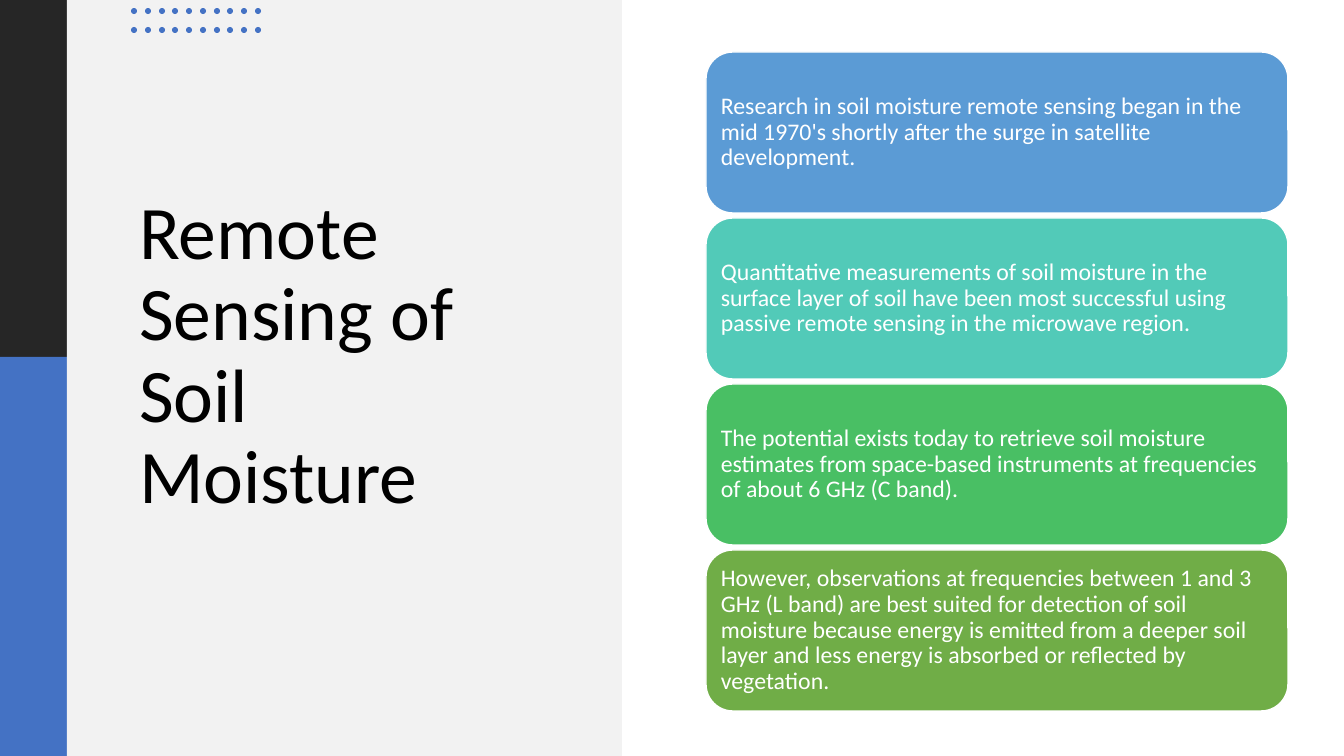
from pptx import Presentation
from pptx import util as u
from pptx.dml.color import RGBColor
from pptx.enum import shapes, text

PX = 914400 / 100.8


def paint(area, kind, left, top, width, height, fill):
    shape = area.add_shape(kind, *[round(n * PX) for n in (left, top, width, height)])
    shape.shadow.inherit = False
    shape.fill.solid()
    shape.fill.fore_color.rgb = RGBColor.from_string(fill)
    shape.line.fill.background()
    return shape


def write(frame, wording, size, color):
    frame.word_wrap = True
    frame.auto_size = text.MSO_AUTO_SIZE.NONE
    frame.vertical_anchor = text.MSO_ANCHOR.MIDDLE
    paragraph = frame.paragraphs[0]
    paragraph.alignment = text.PP_ALIGN.LEFT
    paragraph.line_spacing = 0.9
    run = paragraph.add_run()
    run.text = wording
    run.font.name = "Calibri"
    run.font.size = u.Pt(size)
    run.font.color.rgb = RGBColor.from_string(color)


prs = Presentation()
prs.slide_width = round(1344 * PX)
prs.slide_height = round(756 * PX)
slide = prs.slides.add_slide(prs.slide_layouts[5])
rectangle = shapes.MSO_SHAPE.RECTANGLE

for left, top, width, height, fill in [
    (0, 0, 67, 357, "262626"),
    (0, 357, 67, 399, "4472C4"),
    (67, 0, 555, 756, "F2F2F2"),
]:
    paint(slide.shapes, rectangle, left, top, width, height, fill)

heading = slide.shapes.title
slide.shapes._spTree.append(heading._element)
heading.left, heading.top, heading.width, heading.height = [
    round(n * PX) for n in (129, 132, 410, 450)
]
write(heading.text_frame, "Remote Sensing of Soil Moisture", 54, "000000")

dots = slide.shapes.add_group_shape()
for column in range(10):
    for top in (8, 27):
        paint(dots.shapes, shapes.MSO_SHAPE.OVAL, 131 + round(column * 124 / 9), top, 6, 6, "4472C4")

facts = [
    ("5B9BD5", "Research in soil moisture remote sensing began in the mid 1970's shortly "
               "after the surge in satellite development."),
    ("52CAB8", "Quantitative measurements of soil moisture in the surface layer of soil have "
               "been most successful using passive remote sensing in the microwave region."),
    ("49BF64", "The potential exists today to retrieve soil moisture estimates from "
               "space-based instruments at frequencies of about 6 GHz (C band)."),
    ("70AD47", "However, observations at frequencies between 1 and 3 GHz (L band) are best "
               "suited for detection of soil moisture because energy is emitted from a deeper "
               "soil layer and less energy is absorbed or reflected by vegetation."),
]
for row, (fill, wording) in enumerate(facts):
    card = paint(slide.shapes, shapes.MSO_SHAPE.ROUNDED_RECTANGLE, 706, 52 + 166 * row, 582, 161, fill)
    card.line.color.rgb = RGBColor.from_string("FFFFFF")
    card.line.width = u.Pt(1)
    frame = card.text_frame
    frame.margin_left = frame.margin_right = frame.margin_top = frame.margin_bottom = round(7 * PX)
    write(frame, wording, 17, "FFFFFF")

prs.save("out.pptx")
